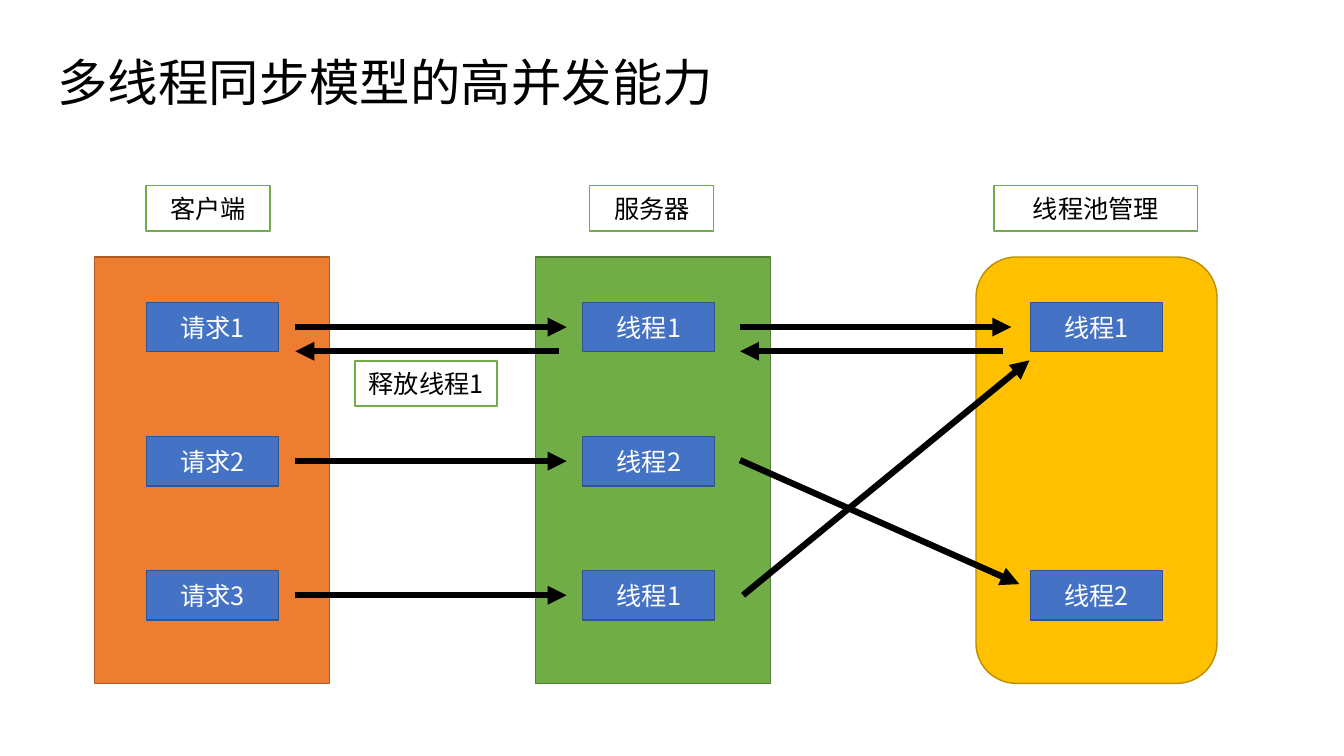
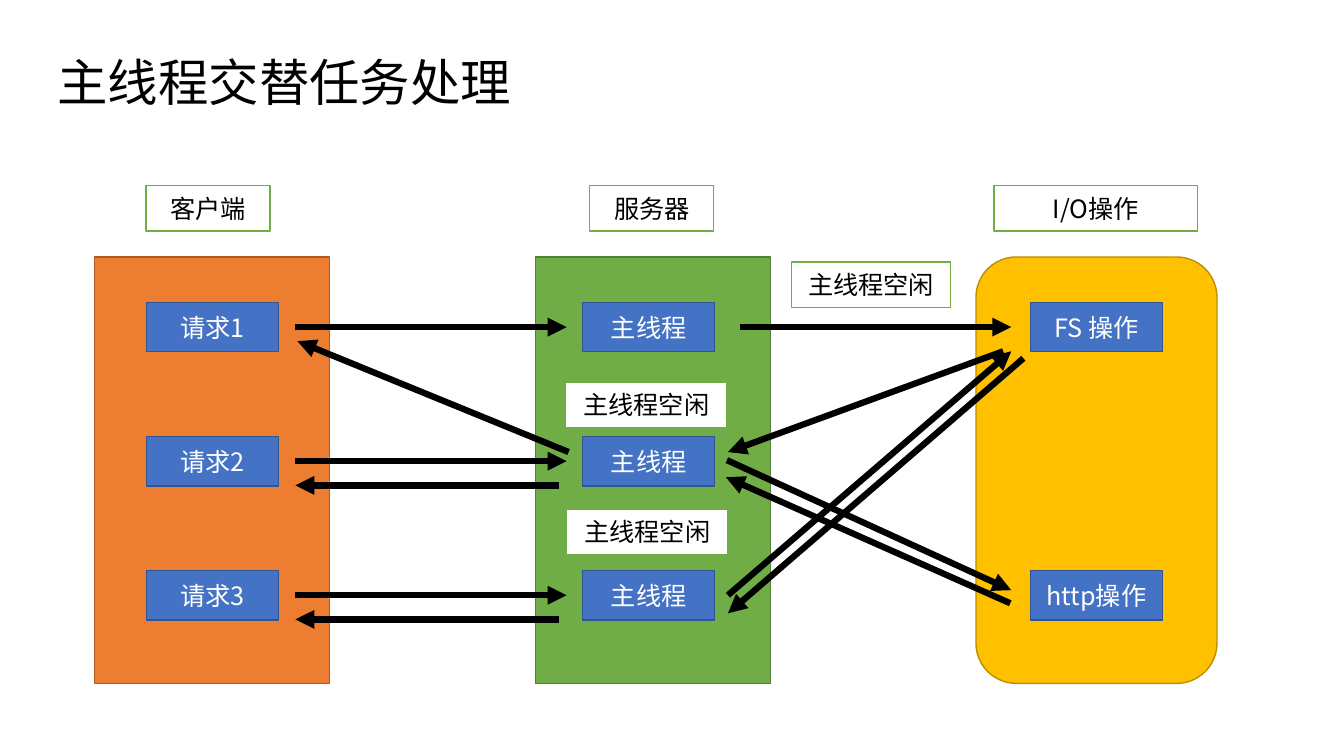
from lxml.etree import SubElement
from pptx import Presentation
from pptx.dml.color import RGBColor
from pptx.enum.shapes import MSO_CONNECTOR, MSO_SHAPE
from pptx.enum.text import MSO_ANCHOR, MSO_AUTO_SIZE, PP_ALIGN
from pptx.oxml.ns import qn
from pptx.util import Inches, Pt

FONT = "Noto Sans CJK SC"
BLACK, WHITE = "000000", "FFFFFF"
ORANGE = ("ED7D31", "AF5C24")
GREEN = ("70AD47", "538035")
YELLOW = ("FFC000", "BD8E00")
BLUE = ("4472C4", "325491")
LABEL = ("FFFFFF", "70AD47")

COLUMN_TOP, COLUMN_HEIGHT = 2.55, 4.23
ROW_PITCH = 1.33
TASK_INSET, TASK_WIDTH, TASK_HEIGHT = 0.45, 1.31, 0.49
LABEL_HEIGHT = 0.45
FIRST_ROW = COLUMN_TOP + TASK_INSET + TASK_HEIGHT / 2
CLIENT_GAP, POOL_GAP = 2.93, 7.34  # where the arrows of each gap begin


def rgb(value):
    return RGBColor.from_string(value)


def style_text(paragraph, size, color, align):
    paragraph.alignment = align
    font = paragraph.font
    font.size, font.name = Pt(size), FONT
    font.color.rgb = rgb(color)
    defaults = paragraph._p.find(".//" + qn("a:defRPr"))
    SubElement(defaults, qn("a:ea")).set("typeface", FONT)


def add_box(slide, left, top, width, height, colors, text="",
            text_color=WHITE, kind=MSO_SHAPE.RECTANGLE):
    box = slide.shapes.add_shape(kind, Inches(left), Inches(top),
                                 Inches(width), Inches(height))
    box.shadow.inherit = False
    box.fill.solid()
    box.fill.fore_color.rgb = rgb(colors[0])
    box.line.color.rgb = rgb(colors[1])
    box.line.width = Pt(1)
    if text:
        frame = box.text_frame
        frame.word_wrap = True
        frame.margin_left = frame.margin_right = Inches(0.05)
        frame.vertical_anchor = MSO_ANCHOR.MIDDLE
        frame.text = text
        style_text(frame.paragraphs[0], 18, text_color, PP_ALIGN.CENTER)


def add_label(slide, left, top, width, text):
    add_box(slide, left, top, width, LABEL_HEIGHT, LABEL, text, BLACK)


def add_title(slide, text):
    title = slide.shapes.title
    title.left, title.top = Inches(0.47), Inches(0.46)
    title.width, title.height = Inches(8.34), Inches(0.71)
    frame = title.text_frame
    frame.text = text
    frame.word_wrap = True
    frame.auto_size = MSO_AUTO_SIZE.SHAPE_TO_FIT_TEXT
    frame.vertical_anchor = MSO_ANCHOR.TOP
    style_text(frame.paragraphs[0], 36, BLACK, PP_ALIGN.LEFT)


def add_column(slide, left, width, colors, heading, heading_box, task_left,
               tasks, kind=MSO_SHAPE.RECTANGLE):
    """Heading, panel and tasks; tasks maps a row number to its text."""
    heading_left, heading_width = heading_box
    add_label(slide, left + heading_left, COLUMN_TOP - 0.71, heading_width, heading)
    add_box(slide, left, COLUMN_TOP, width, COLUMN_HEIGHT, colors, kind=kind)
    for row, task in tasks.items():
        add_box(slide, left + task_left, COLUMN_TOP + TASK_INSET + row * ROW_PITCH,
                TASK_WIDTH, TASK_HEIGHT, BLUE, task)


def add_arrows(slide, gap_left, routes):
    """Routes are x1, y1, x2, y2 from the gap's left and the first row's middle."""
    for x1, y1, x2, y2 in routes:
        arrow = slide.shapes.add_connector(
            MSO_CONNECTOR.STRAIGHT,
            Inches(gap_left + x1), Inches(FIRST_ROW + y1),
            Inches(gap_left + x2), Inches(FIRST_ROW + y2))
        arrow.line.color.rgb = rgb(BLACK)
        arrow.line.width = Pt(4.5)
        properties = arrow._element.spPr
        SubElement(arrow.line._get_or_add_ln(), qn("a:tailEnd")).set("type", "triangle")
        SubElement(properties, qn("a:effectLst"))


def add_flow_slide(deck, title, server_tasks, pool_heading, pool_tasks,
                   returns, pool_routes, notes):
    slide = deck.slides.add_slide(deck.slide_layouts[5])
    add_title(slide, title)

    # Three columns
    add_column(slide, 0.94, 2.33, ORANGE, "客户端", (0.51, 1.23), 0.51,
               {row: f"请求{row + 1}" for row in range(3)})
    add_column(slide, 5.31, 2.33, GREEN, "服务器", (0.54, 1.23), 0.47,
               dict(enumerate(server_tasks)))
    add_column(slide, 9.68, 2.39, YELLOW, pool_heading, (0.18, 2.02), 0.54,
               dict(zip((0, 2), pool_tasks)), MSO_SHAPE.ROUNDED_RECTANGLE)

    # Requests, replies and traffic with the right column
    requests = [(0, row * ROW_PITCH, 2.69, row * ROW_PITCH) for row in range(3)]
    add_arrows(slide, CLIENT_GAP, requests + returns)
    add_arrows(slide, POOL_GAP, [(0, 0, 2.69, 0)] + pool_routes)

    # Notes on the flow
    for note in notes:
        add_label(slide, *note)


def reply(row):
    y = row * ROW_PITCH + 0.24
    return 2.61, y, 0, y


def main():
    deck = Presentation()
    deck.slide_width, deck.slide_height = Inches(13.33), Inches(7.5)

    add_flow_slide(
        deck, "多线程同步模型的高并发能力",
        ["线程1", "线程2", "线程1"], "线程池管理", ["线程1", "线程2"],
        returns=[reply(0)],
        pool_routes=[(0, 1.32, 2.77, 2.55), (0.03, 2.66, 2.87, 0.33), reply(0)],
        notes=[(3.52, 3.58, 1.41, "释放线程1")])

    idle = "主线程空闲"
    add_flow_slide(
        deck, "主线程交替任务处理",
        ["主线程"] * 3, "I/O操作", ["FS 操作", "http操作"],
        returns=[(2.71, 1.24, 0.02, 0.14), reply(1), reply(2)],
        pool_routes=[(2.61, 0.24, -0.12, 1.24),
                     (-0.13, 1.32, 2.69, 2.61), (2.68, 2.74, -0.14, 1.49),
                     (-0.12, 2.66, 2.69, 0.24), (2.81, 0.31, -0.12, 2.84)],
        notes=[(7.85, 2.6, 1.58, idle), (5.61, 3.79, 1.6, idle),
               (5.62, 5.05, 1.6, idle)])

    deck.save("out.pptx")


if __name__ == "__main__":
    main()
